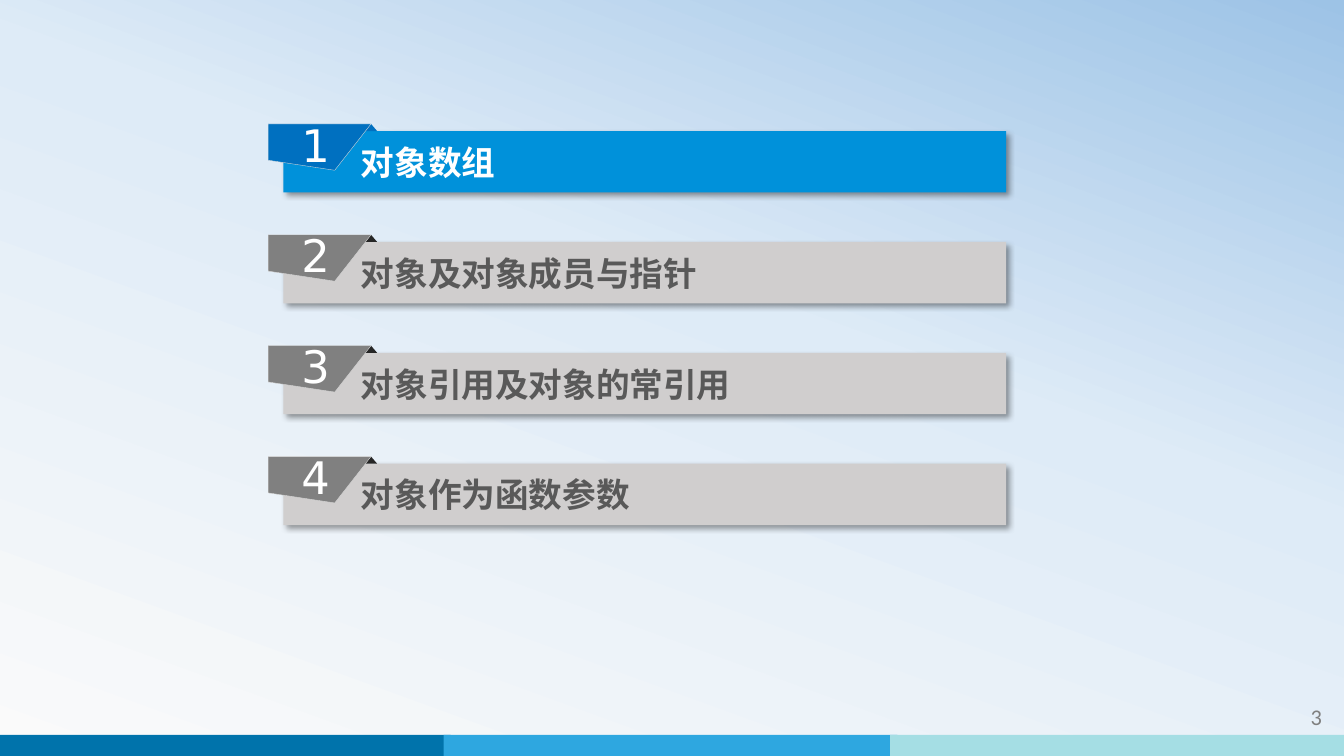
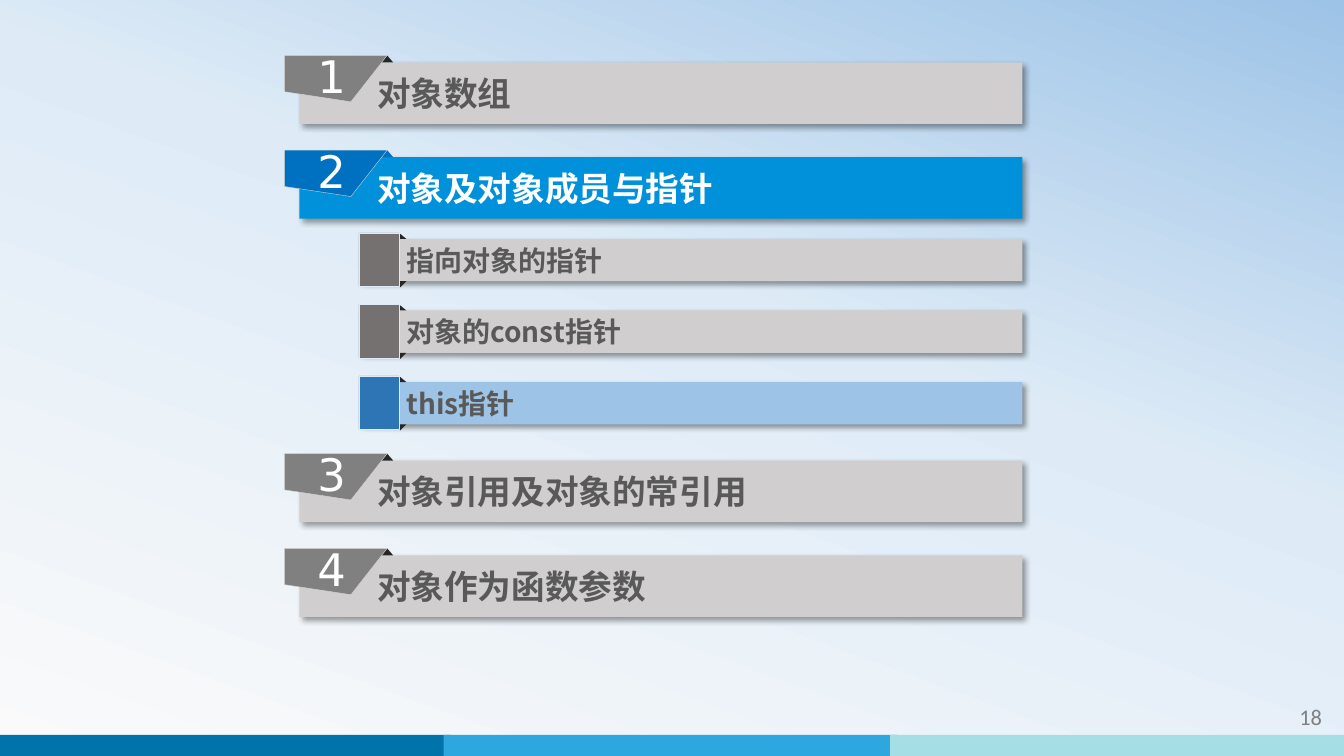
from pptx import Presentation
from pptx.dml.color import RGBColor
from pptx.enum.shapes import MSO_SHAPE as SHAPE
from pptx.enum.text import MSO_ANCHOR as ANCHOR, PP_ALIGN as ALIGN
from pptx.oxml import parse_xml
from pptx.oxml.ns import nsdecls, qn
from pptx.util import Inches, Pt

CJK, DIGIT, FOOT = "Noto Sans CJK SC", "DejaVu Sans", "Calibri"
WHITE, DARK_TEXT = "FFFFFF", "595959"
BACKGROUND = [(0, "FAFAFA"), (58, "DEEBF7"), (100, "9DC3E6")]
BANDS = [(-0.03, "0073AB"), (4.4, "2EA7E0"), (8.83, "A5DEE4")]
SECTIONS = ["对象数组", "对象及对象成员与指针", "对象引用及对象的常引用", "对象作为函数参数"]
POINTERS = ["指向对象的指针", "对象的const指针", "this指针"]
SECTION_STYLE = {
    True: dict(bar="0091DA", tag="0070C0", fold="0070C0", ink=WHITE),
    False: dict(bar="D0CECE", tag="808080", fold="262626", ink=DARK_TEXT),
}
POINT_STYLE = {
    True: dict(bar="9DC3E6", tag="2E75B6", fold="262626", ink=DARK_TEXT),
    False: dict(bar="D0CECE", tag="767171", fold="262626", ink=DARK_TEXT),
}
AGENDAS = [
    dict(page="3", left=2.81, top=1.3, pitch=1.1, active=0, points={}),
    dict(page="18", left=2.97, top=0.62, pitch=0.94, active=1, points={1: (POINTERS, 2)}),
]
FIRST_POINT, POINT_PITCH, AFTER_POINTS = 0.81, 0.71, 0.78


def color(hex_code):
    return RGBColor.from_string(hex_code)


def write(s, text, size, ink, font, bold=False, align=ALIGN.LEFT, insets=(0.1, 0.05, 0.1, 0.05)):
    tf = s.text_frame
    tf.word_wrap = True
    tf.vertical_anchor = ANCHOR.MIDDLE
    tf.margin_left, tf.margin_top, tf.margin_right, tf.margin_bottom = map(Inches, insets)
    p = tf.paragraphs[0]
    p.alignment = align
    r = p.add_run()
    r.text = text
    r.font.size, r.font.bold, r.font.name = Pt(size), bold, font
    r.font.color.rgb = color(ink)
    r._r.get_or_add_rPr().append(parse_xml(f'<a:ea {nsdecls("a")} typeface="{font}"/>'))


def paint(s, fill, line=None):
    s.shadow.inherit = False
    s.fill.solid()
    s.fill.fore_color.rgb = color(fill)
    if line:
        s.line.color.rgb = color(line)
        s.line.width = Pt(0.25)
    else:
        s.line.fill.background()
    return s


def block(shapes, x, y, w, h, fill, line=None, kind=SHAPE.RECTANGLE):
    return paint(shapes.add_shape(kind, *map(Inches, (x, y, w, h))), fill, line)


def cast_shadow(s):
    s._element.spPr.find(qn("a:effectLst")).append(parse_xml(
        f'<a:outerShdw {nsdecls("a")} blurRad="{Pt(4)}" dist="{Pt(3)}" dir="2700000" algn="tl" '
        'rotWithShape="0"><a:srgbClr val="000000"><a:alpha val="40000"/></a:srgbClr></a:outerShdw>'))


def bar(shapes, x, y, w, h, text, size, indent, style):
    s = block(shapes, x, y, w, h, style["bar"])
    cast_shadow(s)
    write(s, text, size, style["ink"], CJK, bold=True, insets=(indent, 0.05, 0.1, 0.05))


def section(slide, x, y, number, text, style):
    shapes = slide.shapes.add_group_shape().shapes
    bar(shapes, x, y, 7.17, 0.61, text, 24, 0.77, style)
    block(shapes, x + 0.81, y - 0.07, 0.12, 0.07, style["fold"], kind=SHAPE.ISOSCELES_TRIANGLE)
    corners = [(Inches(x - 0.15 + dx), Inches(y - 0.07 + dy))
               for dx, dy in [(0, 0), (1.02, 0), (0.66, 0.46), (0, 0.36)]]
    outline = shapes.build_freeform(*corners[0])
    outline.add_line_segments(corners[1:], close=True)
    tag = paint(outline.convert_to_shape(), style["tag"], "D9D9D9")
    write(tag, str(number), 32, WHITE, DIGIT, align=ALIGN.CENTER, insets=(0.09, 0.04, 0.17, 0.1))


def point(slide, x, y, text, style):
    shapes = slide.shapes.add_group_shape().shapes
    bar(shapes, x, y, 6.57, 0.42, text, 20, 0.46, style)
    for dy, h, turn in [(-0.05, 0.05, 0), (0.42, 0.06, 180)]:
        fold = block(shapes, x + 0.34, y + dy, 0.12, h, style["fold"], kind=SHAPE.ISOSCELES_TRIANGLE)
        fold.rotation = turn
    block(shapes, x - 0.01, y - 0.06, 0.4, 0.53, style["tag"], "DEEBF7")


def set_background(master):
    fill = master.background.fill
    fill.gradient()
    fill.gradient_angle = 70
    stops = master.element.find(".//" + qn("a:gsLst"))
    for stop in list(stops):
        stops.remove(stop)
    for share, hex_code in BACKGROUND:
        stops.append(parse_xml(
            f'<a:gs {nsdecls("a")} pos="{share * 1000}"><a:srgbClr val="{hex_code}"/></a:gs>'))


def base_slide(prs, page):
    slide = prs.slides.add_slide(prs.slide_layouts[6])
    bands = slide.shapes.add_group_shape().shapes
    for x, fill in BANDS:
        block(bands, x, 7.29, 4.5, 0.21, fill)
    footer = slide.shapes.add_textbox(*map(Inches, (11.62, 6.91, 1.59, 0.4)))
    write(footer, page, 16, "808080", FOOT, align=ALIGN.RIGHT)
    return slide


def agenda(prs, page, left, top, pitch, active, points):
    slide = base_slide(prs, page)
    y = top
    for i, title in enumerate(SECTIONS):
        section(slide, left, y, i + 1, title, SECTION_STYLE[i == active])
        if i not in points:
            y += pitch
            continue
        names, current = points[i]
        y += FIRST_POINT
        for j, name in enumerate(names):
            point(slide, left + 0.6, y + j * POINT_PITCH, name, POINT_STYLE[j == current])
        y += (len(names) - 1) * POINT_PITCH + AFTER_POINTS


prs = Presentation()
prs.slide_width, prs.slide_height = Inches(13.33), Inches(7.5)
set_background(prs.slide_master)
for content in AGENDAS:
    agenda(prs, **content)
prs.save("out.pptx")
